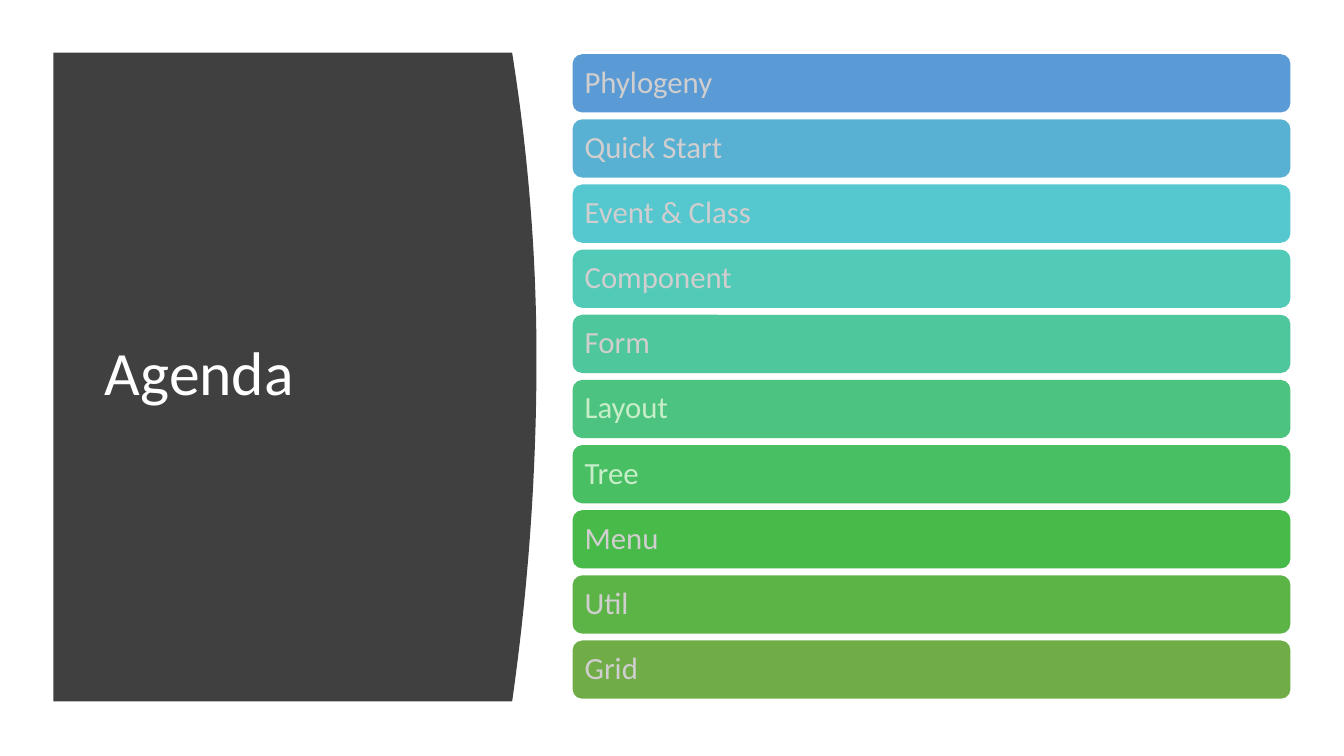
from pptx import Presentation
from pptx.dml.color import RGBColor as RGB
from pptx.enum.shapes import MSO_SHAPE as Kind
from pptx.enum.text import MSO_ANCHOR as Anchor, PP_ALIGN as Align
from pptx.util import Pt

TITLE = "Agenda"
COLORS = {"page": "FFFFFF", "panel": "404040", "title": "FFFFFF",
          "gray": "D0CECE", "mint": "C7EDC9"}
ITEMS = [  # label, bar fill, text colour
    ("Phylogeny", "5B9BD5", "gray"),
    ("Quick Start", "58B1D2", "gray"),
    ("Event & Class", "55C7CE", "gray"),
    ("Component", "52CAB8", "gray"),
    ("Form", "4FC79C", "gray"),
    ("Layout", "4CC37F", "mint"),
    ("Tree", "49BF64", "mint"),
    ("Menu", "47BA49", "gray"),
    ("Util", "5CB447", "gray"),
    ("Grid", "70AD47", "gray"),
]
FONT = "Calibri"
LEFT, TOP, EDGE, BASE = 38.2, 37.6, 365.8, 501.1  # panel sides
PEAK, MID, STEPS = 383.2, 256, 60  # widest point of the curved side
BAR_X, BAR_Y, BAR_W, BAR_H, PITCH = 409, 38.75, 512.8, 41.6, 46.53


def paint(shape, color):
    """Give a shape a flat fill with no line or shadow."""
    shape.shadow.inherit = False
    shape.fill.solid()
    shape.fill.fore_color.rgb = RGB.from_string(color)
    shape.line.fill.background()


def write(shape, text, size, color, inset=(7.2, 3.6)):
    """Set one left-aligned, vertically centred line of text."""
    frame = shape.text_frame
    frame.word_wrap = True
    frame.vertical_anchor = Anchor.MIDDLE
    frame.margin_left = frame.margin_right = Pt(inset[0])
    frame.margin_top = frame.margin_bottom = Pt(inset[1])
    para = frame.paragraphs[0]
    para.alignment = Align.LEFT
    para.line_spacing = 0.9
    run = para.add_run()
    run.text = text
    run.font.name = FONT
    run.font.size = Pt(size)
    run.font.color.rgb = RGB.from_string(color)


def curve(y):
    """Return the x of the panel's bowed side at height y."""
    half = MID - TOP if y < MID else BASE - MID
    return PEAK - (PEAK - EDGE) * ((y - MID) / half) ** 2


def panel(shapes):
    """Draw the dark panel with its bowed right side."""
    rows = [TOP + (BASE - TOP) * i / STEPS for i in range(STEPS + 1)]
    points = [(Pt(curve(y)), Pt(y)) for y in rows] + [(Pt(LEFT), Pt(BASE))]
    pen = shapes.build_freeform(Pt(LEFT), Pt(TOP))
    pen.add_line_segments(points, close=True)
    paint(pen.convert_to_shape(), COLORS["panel"])


def bars(shapes):
    """Stack one rounded bar per agenda item."""
    for i, (label, fill, tone) in enumerate(ITEMS):
        bar = shapes.add_shape(Kind.ROUNDED_RECTANGLE, Pt(BAR_X),
                               Pt(BAR_Y + i * PITCH), Pt(BAR_W), Pt(BAR_H))
        paint(bar, fill)
        write(bar, label, 22, COLORS[tone], inset=(6.6, 6.6))


deck = Presentation()
deck.slide_width, deck.slide_height = Pt(960), Pt(540)
slide = deck.slides.add_slide(deck.slide_layouts[6])
slide.background.fill.solid()
slide.background.fill.fore_color.rgb = RGB.from_string(COLORS["page"])
panel(slide.shapes)
head = slide.shapes.add_textbox(Pt(67.9), Pt(80), Pt(269), Pt(377))
write(head, TITLE, 44, COLORS["title"])
bars(slide.shapes)
deck.save("out.pptx")
